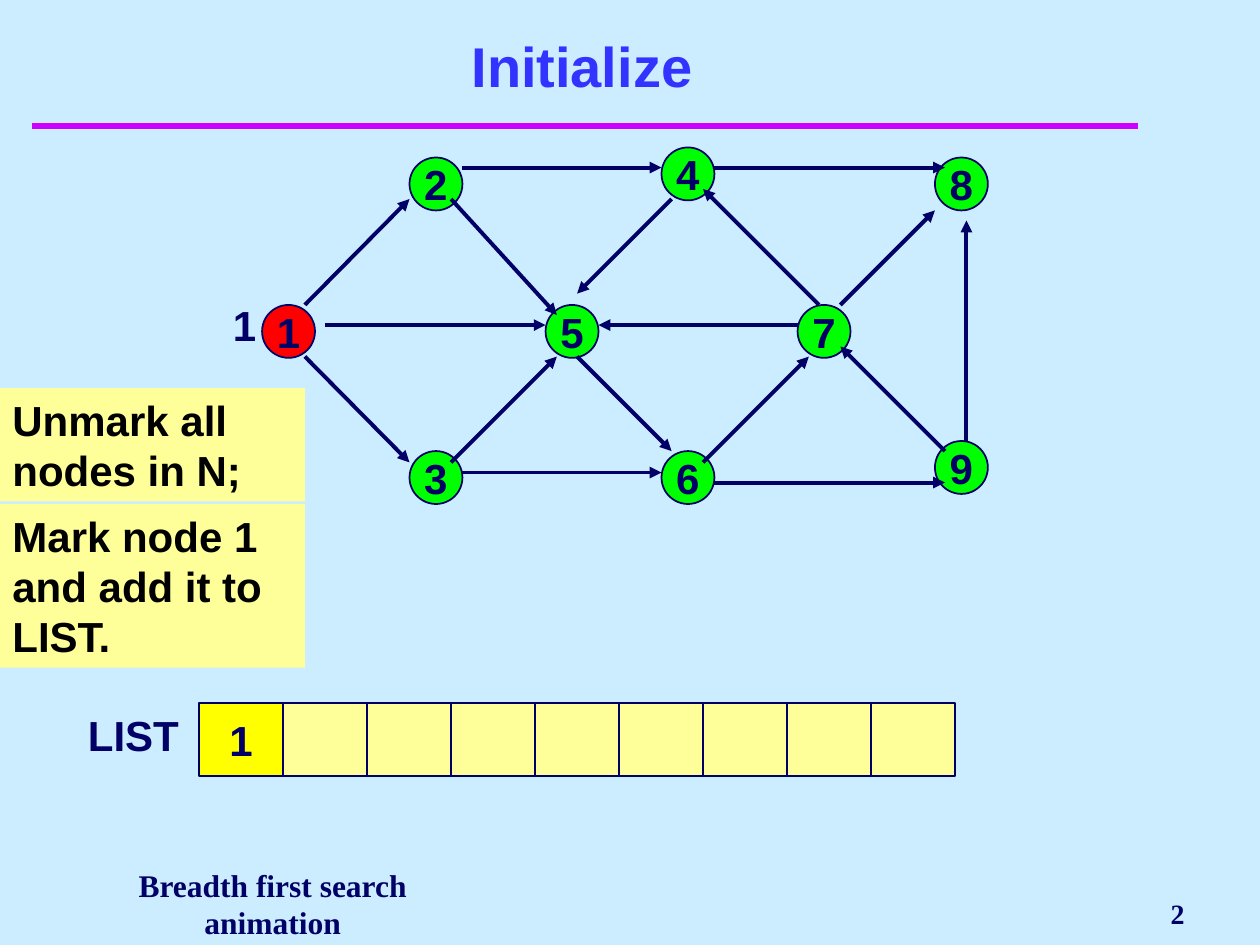
"""Build the initialization slide of a breadth first search animation."""
from lxml.etree import SubElement
from pptx import Presentation
from pptx.dml.color import RGBColor
from pptx.enum.shapes import MSO_CONNECTOR, MSO_SHAPE
from pptx.enum.text import MSO_ANCHOR as Anchor, PP_ALIGN as Align
from pptx.oxml.ns import qn
from pptx.util import Inches, Pt

COLORS = {
    "background": "CCECFF", "ink": "000066", "title": "3333FF", "rule": "CC00FF",
    "note": "FFFF99", "black": "000000", "node": "00FF00", "marked": "FF0000",
    "listed": "FFFF00",
}
NODE_SIZE = 0.42
NODES = [
    ("2", 3.25, 1.25, "node"), ("4", 5.25, 1.17, "node"), ("5", 4.33, 2.42, "node"),
    ("3", 3.25, 3.58, "node"), ("6", 5.25, 3.58, "node"), ("9", 7.42, 3.5, "node"),
    ("7", 6.33, 2.42, "node"), ("8", 7.42, 1.25, "node"),
]
START_NODE = ("1", 2.08, 2.42, "marked")
ARROWS = [
    ((3.67, 1.33), (5.25, 1.33)), ((5.67, 1.33), (7.5, 1.33)),
    ((6.67, 2.42), (7.42, 1.67)), ((6.5, 2.42), (5.58, 1.5)),
    ((5.33, 1.58), (4.58, 2.33)), ((2.58, 2.58), (4.33, 2.58)),
    ((3.58, 3.67), (4.42, 2.83)), ((4.58, 2.83), (5.33, 3.58)),
    ((3.67, 3.75), (5.25, 3.75)), ((5.67, 3.83), (7.5, 3.83)),
    ((7.5, 3.58), (6.67, 2.75)), ((7.67, 3.5), (7.67, 1.75)),
    ((2.42, 2.83), (3.25, 3.67)), ((2.42, 2.42), (3.25, 1.58)),
    ((3.58, 1.58), (4.42, 2.5)), ((6.33, 2.58), (4.75, 2.58)),
    ((5.58, 3.67), (6.42, 2.83)),
]
NOTES = [
    ("Unmark all nodes in N;", 3.08, 0.9),
    ("Mark node 1 and add it to LIST.", 4, 1.3),
]
LIST_VALUES = ["1"] + [""] * 8
LIST_LEFT, LIST_TOP, CELL_WIDTH, CELL_HEIGHT = 1.58, 5.58, 2 / 3, 0.58


def color(name):
    return RGBColor.from_string(COLORS[name])


def write(shape, text, size=24, font="Arial", ink="ink", align=Align.LEFT,
          anchor=Anchor.TOP, wrap=False):
    frame = shape.text_frame
    frame.word_wrap = wrap
    frame.vertical_anchor = anchor
    paragraph = frame.paragraphs[0]
    paragraph.alignment = align
    run = paragraph.add_run()
    run.text = text
    run.font.size = Pt(size)
    run.font.name = font
    run.font.bold = True
    run.font.color.rgb = color(ink)


def add_text(slide, box, text, **style):
    write(slide.shapes.add_textbox(*map(Inches, box)), text, **style)


def add_box(slide, kind, box, fill, outlined=True):
    shape = slide.shapes.add_shape(kind, *map(Inches, box))
    shape.shadow.inherit = False
    shape.fill.solid()
    shape.fill.fore_color.rgb = color(fill)
    if outlined:
        shape.line.color.rgb = color("ink")
        shape.line.width = Pt(1)
    else:
        shape.line.fill.background()
    return shape


def add_line(slide, start, end, ink, width, arrow=False):
    line = slide.shapes.add_connector(
        MSO_CONNECTOR.STRAIGHT, *map(Inches, (*start, *end)))
    line.line.color.rgb = color(ink)
    line.line.width = Pt(width)
    properties = line._element.spPr
    if arrow:
        SubElement(properties.find(qn("a:ln")), qn("a:tailEnd"), type="triangle")
    SubElement(properties, qn("a:effectLst"))


def add_node(slide, label, left, top, fill):
    node = add_box(slide, MSO_SHAPE.OVAL, (left, top, NODE_SIZE, NODE_SIZE), fill)
    write(node, label, align=Align.CENTER, anchor=Anchor.MIDDLE)


def add_list(slide):
    add_text(slide, (0.6, LIST_TOP, 0.93, 0.5), "LIST")
    for index, value in enumerate(LIST_VALUES):
        left = LIST_LEFT + index * CELL_WIDTH
        cell = add_box(slide, MSO_SHAPE.RECTANGLE,
                       (left, LIST_TOP, CELL_WIDTH, CELL_HEIGHT),
                       "listed" if value else "note")
        if value:
            write(cell, value, align=Align.CENTER, anchor=Anchor.MIDDLE)


def main():
    presentation = Presentation()
    presentation.slide_width, presentation.slide_height = Inches(10), Inches(7.5)
    slide = presentation.slides.add_slide(presentation.slide_layouts[6])
    slide.background.fill.solid()
    slide.background.fill.fore_color.rgb = color("background")

    add_line(slide, (0.25, 1), (9.03, 1), "rule", 4)
    add_text(slide, (0.37, 0.25, 8.5, 0.58), "Initialize", size=32, ink="title",
             align=Align.CENTER, anchor=Anchor.BOTTOM, wrap=True)
    add_text(slide, (0.58, 6.92, 3.17, 0.5), "Breadth first search animation",
             size=18, font="Times New Roman", align=Align.CENTER,
             anchor=Anchor.MIDDLE)
    add_text(slide, (7.58, 7, 1.92, 0.5), "2", size=16, font="Times New Roman",
             align=Align.RIGHT, anchor=Anchor.MIDDLE, wrap=True)

    for node in NODES:
        add_node(slide, *node)
    for start, end in ARROWS:
        add_line(slide, start, end, "ink", 2.25, arrow=True)
    add_node(slide, *START_NODE)
    add_text(slide, (1.75, 2.33, 0.33, 0.5), "1", wrap=True)

    for text, top, height in NOTES:
        note = add_box(slide, MSO_SHAPE.RECTANGLE, (0, top, 2.42, height), "note",
                       outlined=False)
        write(note, text, ink="black", wrap=True)
    add_list(slide)
    presentation.save("out.pptx")


if __name__ == "__main__":
    main()
